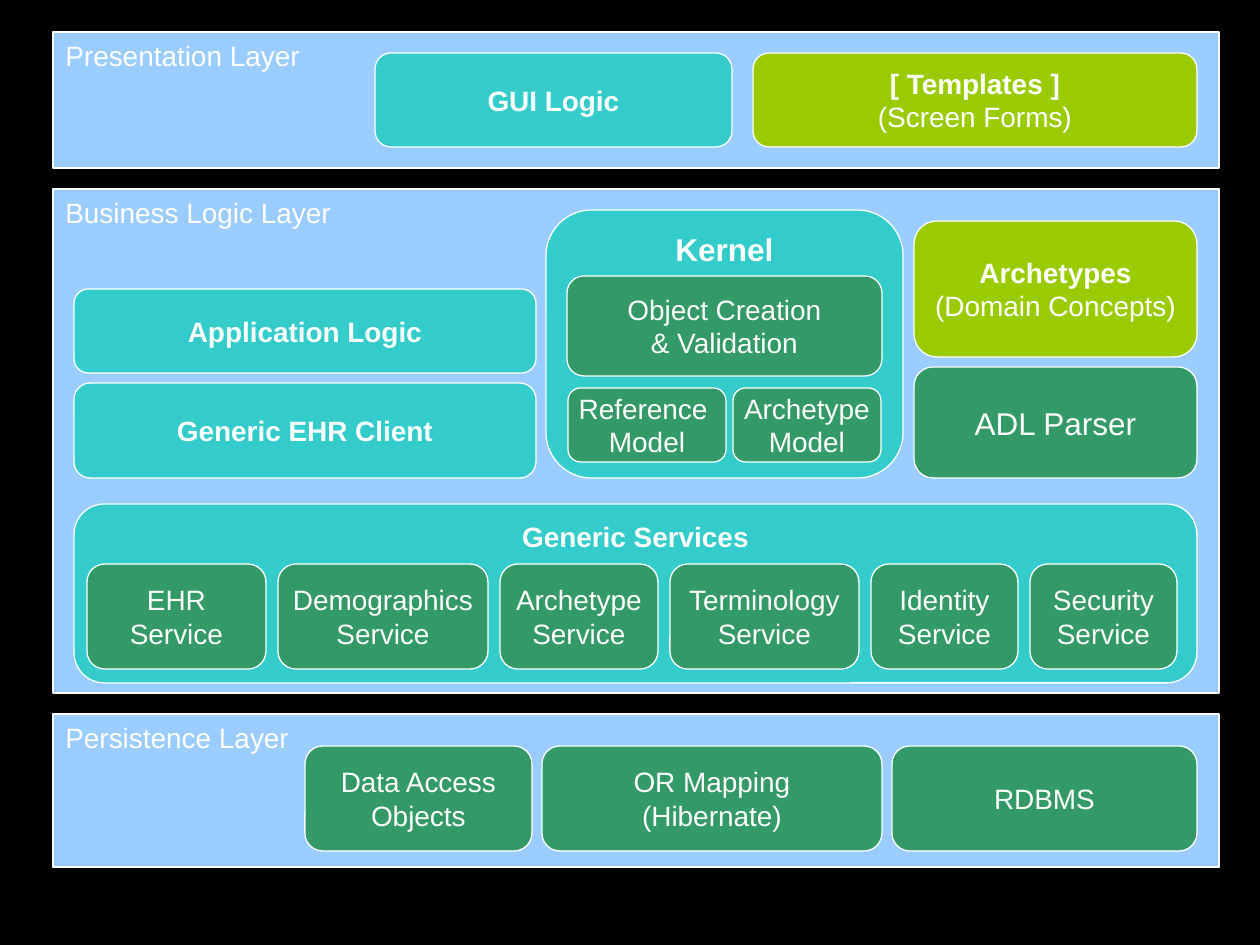
"""Build a slide of the layers of a health record system architecture."""
from dataclasses import dataclass

from pptx import Presentation
from pptx.dml.color import RGBColor
from pptx.enum.shapes import MSO_SHAPE
from pptx.enum.text import MSO_ANCHOR, PP_ALIGN
from pptx.slide import Slide
from pptx.util import Emu, Pt

RECTANGLE, ROUNDED = MSO_SHAPE.RECTANGLE, MSO_SHAPE.ROUNDED_RECTANGLE
TOP, MIDDLE = MSO_ANCHOR.TOP, MSO_ANCHOR.MIDDLE
LEFT, CENTER = PP_ALIGN.LEFT, PP_ALIGN.CENTER

BLACK = RGBColor(0x00, 0x00, 0x00)
WHITE = RGBColor(0xFF, 0xFF, 0xFF)
SKY = RGBColor(0x99, 0xCC, 0xFF)
TURQUOISE = RGBColor(0x33, 0xCC, 0xCC)
GREEN = RGBColor(0x33, 0x99, 0x66)
LIME = RGBColor(0x99, 0xCC, 0x00)

FONT = "Arial"
EMU_PER_PX = 914400 / 126
CORNER = 0.17
LAYER_LEFT, LAYER_WIDTH = 53, 1166
SERVICE_GAP, STORAGE_GAP = 12, 10


@dataclass(frozen=True)
class Block:
    left: int
    top: int
    width: int
    height: int
    fill: RGBColor
    lines: tuple[str, ...]
    bold_lines: int = 0
    size: int = 16
    anchor: MSO_ANCHOR = MIDDLE
    is_layer: bool = False


def px(length: int) -> Emu:
    return Emu(round(length * EMU_PER_PX))


def layer(top: int, height: int, title: str) -> Block:
    return Block(LAYER_LEFT, top, LAYER_WIDTH, height, SKY, (title,),
                 anchor=TOP, is_layer=True)


def row(left: int, top: int, height: int, gap: int,
        items: list[tuple[int, tuple[str, ...]]]) -> list[Block]:
    blocks = []
    for width, lines in items:
        blocks.append(Block(left, top, width, height, GREEN, lines))
        left += width + gap
    return blocks


def draw_block(slide: Slide, block: Block) -> None:
    shape = slide.shapes.add_shape(
        RECTANGLE if block.is_layer else ROUNDED,
        px(block.left), px(block.top), px(block.width), px(block.height))
    if not block.is_layer:
        shape.adjustments[0] = CORNER
    shape.shadow.inherit = False
    shape.fill.solid()
    shape.fill.fore_color.rgb = block.fill
    shape.line.color.rgb = WHITE
    shape.line.width = Pt(0.75)
    frame = shape.text_frame
    frame.word_wrap = block.is_layer
    frame.vertical_anchor = block.anchor
    for index, text in enumerate(block.lines):
        paragraph = frame.add_paragraph() if index else frame.paragraphs[0]
        paragraph.alignment = LEFT if block.is_layer else CENTER
        run = paragraph.add_run()
        run.text = text
        run.font.name = FONT
        run.font.size = Pt(block.size)
        run.font.bold = index < block.bold_lines
        run.font.color.rgb = WHITE


SERVICES = [
    (179, "EHR"), (210, "Demographics"), (158, "Archetype"),
    (189, "Terminology"), (147, "Identity"), (147, "Security"),
]
STORAGE = [
    (227, ("Data Access", "Objects")),
    (340, ("OR Mapping", "(Hibernate)")),
    (305, ("RDBMS",)),
]
BLOCKS = [
    layer(32, 136, "Presentation Layer"),
    Block(375, 53, 357, 94, TURQUOISE, ("GUI Logic",), 1),
    Block(753, 53, 444, 94, LIME, ("[ Templates ]", "(Screen Forms)"), 1),
    layer(189, 504, "Business Logic Layer"),
    Block(74, 289, 462, 84, TURQUOISE, ("Application Logic",), 1),
    Block(74, 383, 462, 95, TURQUOISE, ("Generic EHR Client",), 1),
    Block(546, 210, 357, 268, TURQUOISE, ("Kernel",), 1, 18, TOP),
    Block(567, 276, 315, 100, GREEN, ("Object Creation", "& Validation")),
    Block(568, 388, 158, 74, GREEN, ("Reference ", "Model")),
    Block(733, 388, 148, 74, GREEN, ("Archetype", "Model")),
    Block(914, 221, 283, 136, LIME, ("Archetypes", "(Domain Concepts)"), 1),
    Block(914, 367, 283, 111, GREEN, ("ADL Parser",), size=18),
    Block(74, 504, 1123, 179, TURQUOISE, ("Generic Services",), 1, anchor=TOP),
    *row(87, 564, 105, SERVICE_GAP,
         [(width, (name, "Service")) for width, name in SERVICES]),
    layer(714, 153, "Persistence Layer"),
    *row(305, 746, 105, STORAGE_GAP, STORAGE),
]


def main() -> None:
    deck = Presentation()
    deck.slide_width, deck.slide_height = px(1260), px(945)
    slide = deck.slides.add_slide(deck.slide_layouts[6])
    slide.background.fill.solid()
    slide.background.fill.fore_color.rgb = BLACK
    for block in BLOCKS:
        draw_block(slide, block)
    deck.save("out.pptx")


if __name__ == "__main__":
    main()
